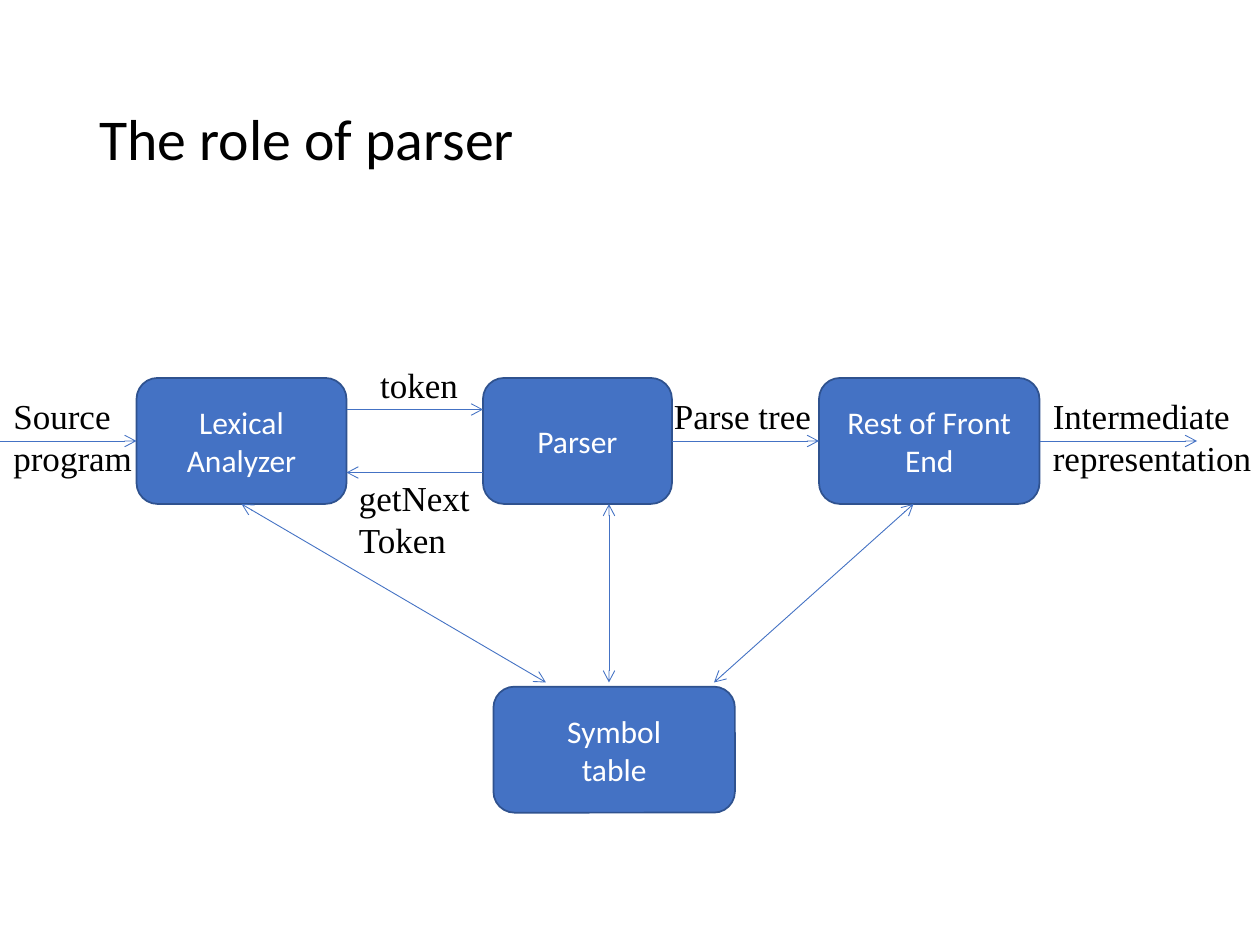
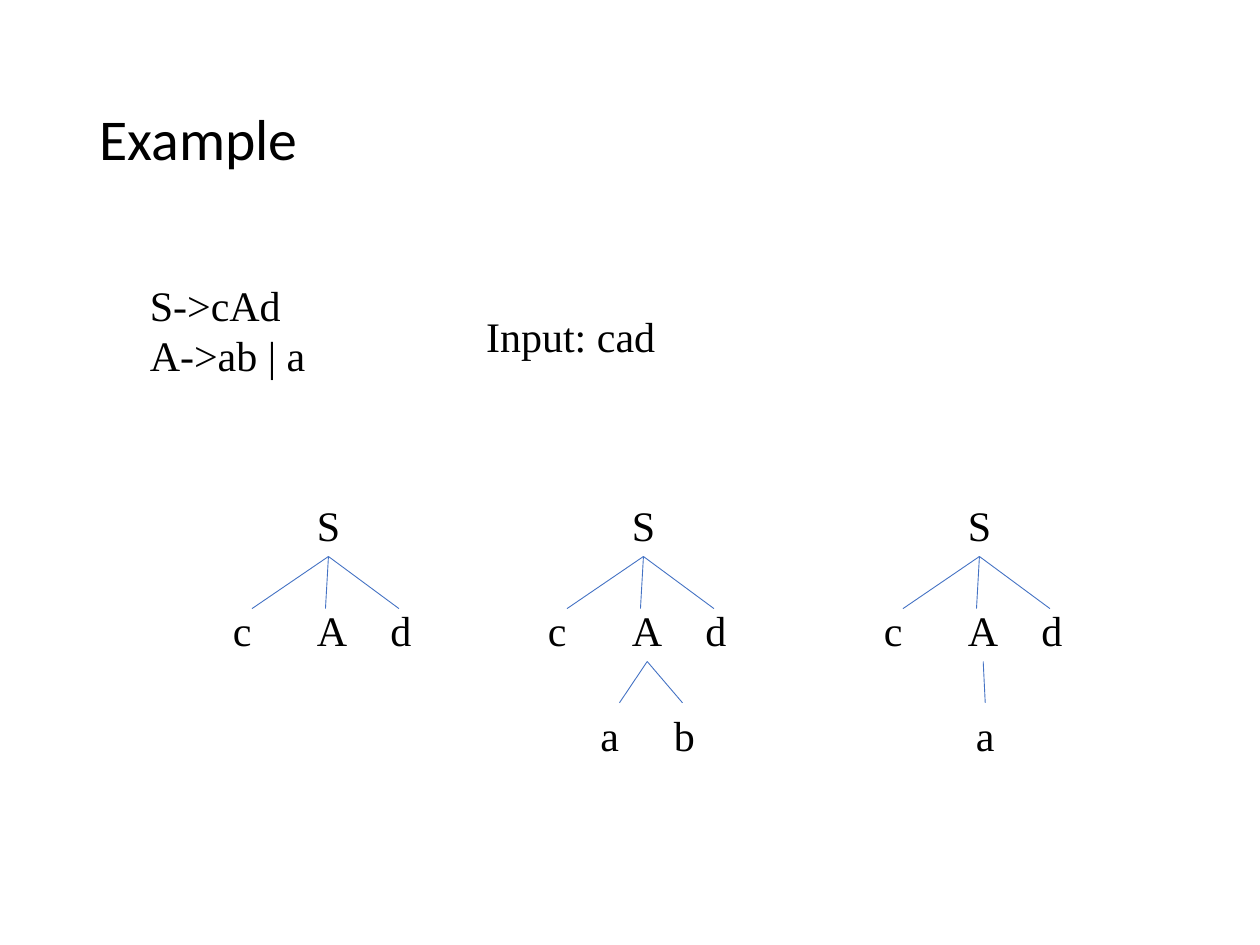
from lxml.etree import SubElement
from pptx import Presentation
from pptx.dml.color import RGBColor
from pptx.enum.shapes import MSO_CONNECTOR as Connector, MSO_SHAPE as Shape
from pptx.enum.text import MSO_ANCHOR as Anchor, MSO_AUTO_SIZE as AutoSize, PP_ALIGN as Align
from pptx.oxml.ns import qn
from pptx.util import Pt

BLACK, WHITE, BLUE, NAVY = "000000", "FFFFFF", "4472C4", "2F528F"
SERIF = "Times New Roman"
TITLE_BOX = (49.7, 28.8, 621.4, 104.4)
TITLE_FRAME = {"vertical_anchor": Anchor.MIDDLE, "auto_size": AutoSize.NONE, "word_wrap": True}
STAGE_FRAME = {"vertical_anchor": Anchor.MIDDLE, "word_wrap": True}
LABEL_FRAME = {"word_wrap": False, "auto_size": AutoSize.SHAPE_TO_FIT_TEXT}
TITLE_FONT = {"name": "Calibri", "size": Pt(33)}
STAGE_FONT = {"name": "Calibri", "size": Pt(18)}
LABEL_FONT = {"name": SERIF, "size": Pt(20)}
GRAMMAR_FONT = {"name": SERIF, "size": Pt(24)}
LEFT_PARAGRAPH = {"alignment": Align.LEFT}
TITLE_PARAGRAPH = {"alignment": Align.LEFT, "line_spacing": 0.9}
STAGE_PARAGRAPH = {"alignment": Align.CENTER}

STAGE_HEIGHT = 72
STAGES = [
    ("Lexical Analyzer", 78, 0, 120),
    ("Parser", 276, 0, 108),
    ("Symbol\ntable", 282, 176.4, 138),
    ("Rest of Front End", 468, 0, 126),
]
FLOWS = [
    ((-12, 36), (78, 36)),
    ((198, 18), (276, 18)),
    ((276, 54), (198, 54)),
    ((384, 36), (468, 36)),
    ((594, 36), (684, 36)),
]
LOOKUPS = [((138, 72), (312, 174)), ((348, 72), (348, 174)), ((522, 72), (408, 174))]
FLOW_LABELS = [
    ("Source\nprogram", 0.5, 6, 85, 55.4),
    ("token", 210.2, -12, 61, 31.7),
    ("getNext\nToken", 198, 52.6, 80, 55.4),
    ("Parse tree", 378, 6, 95, 31.7),
    ("Intermediate\nrepresentation", 594.5, 6, 131, 55.4),
]

LETTER_WIDTHS = {"S": 27.4, "A": 31.7, "a": 25.2, "b": 25.9, "c": 25.2, "d": 25.9}
LETTER_HEIGHT, LEVEL_STEP = 36, 60
ROOT_LEFT = 48
ROOT_CHILDREN = [("c", 0, 18), ("A", ROOT_LEFT, 60), ("d", 90, 102)]
TREES = [
    (126, []),
    (306, [("a", 30, 48), ("b", 72, 84)]),
    (498, [("a", 52.6, 65)]),
]
TREE_TOP = 282


def color(hex_value):
    """Turn a hex string into a colour."""
    return RGBColor.from_string(hex_value)


def apply(target, values):
    """Set every attribute listed in a dict of format values."""
    for attribute, value in values.items():
        setattr(target, attribute, value)


def write(frame, words, frame_format, paragraph_format, font_format, ink=BLACK):
    """Fill a text frame with one formatted paragraph per line."""
    frame.text = words
    apply(frame, frame_format)
    for paragraph in frame.paragraphs:
        apply(paragraph, paragraph_format)
        for run in paragraph.runs:
            apply(run.font, font_format)
            run.font.color.rgb = color(ink)


def add_titled_slide(deck, heading):
    """Add a slide whose title sits in the shared place and style."""
    slide = deck.slides.add_slide(deck.slide_layouts[5])
    title = slide.shapes.title
    apply(title, dict(zip(("left", "top", "width", "height"), map(Pt, TITLE_BOX))))
    write(title.text_frame, heading, TITLE_FRAME, TITLE_PARAGRAPH, TITLE_FONT)
    return slide


def add_label(shapes, words, left, top, width, height, font):
    """Add unwrapped text in black."""
    label = shapes.add_textbox(Pt(left), Pt(top), Pt(width), Pt(height))
    write(label.text_frame, words, LABEL_FRAME, LEFT_PARAGRAPH, font)


def add_line(shapes, origin, start, end, heads=()):
    """Draw a thin blue line between points given relative to an origin."""
    x, y = origin
    line = shapes.add_connector(
        Connector.STRAIGHT, Pt(x + start[0]), Pt(y + start[1]), Pt(x + end[0]), Pt(y + end[1])
    )
    line.line.color.rgb = color(BLUE)
    line.line.width = Pt(0.5)
    properties = line.element.spPr
    for head in heads:
        SubElement(properties.find(qn("a:ln")), qn(f"a:{head}"), type="arrow")
    SubElement(properties, qn("a:effectLst"))


def add_stage(shapes, words, left, top, width):
    """Add one rounded box of the compiler diagram."""
    stage = shapes.add_shape(
        Shape.ROUNDED_RECTANGLE, Pt(left), Pt(top), Pt(width), Pt(STAGE_HEIGHT)
    )
    stage.shadow.inherit = False
    stage.fill.solid()
    stage.fill.fore_color.rgb = color(BLUE)
    stage.line.color.rgb = color(NAVY)
    stage.line.width = Pt(1)
    write(stage.text_frame, words, STAGE_FRAME, STAGE_PARAGRAPH, STAGE_FONT, WHITE)


def add_compiler_diagram(shapes, x, y):
    """Draw the compiler stages, their data flows and the symbol table lookups."""
    for words, left, top, width in STAGES:
        add_stage(shapes, words, x + left, y + top, width)
    for start, end in FLOWS:
        add_line(shapes, (x, y), start, end, ["tailEnd"])
    for start, end in LOOKUPS:
        add_line(shapes, (x, y), start, end, ["headEnd", "tailEnd"])
    for words, left, top, width, height in FLOW_LABELS:
        add_label(shapes, words, x + left, y + top, width, height, LABEL_FONT)


def add_letter(shapes, letter, left, top):
    """Add one grammar symbol of a parse tree."""
    add_label(shapes, letter, left, top, LETTER_WIDTHS[letter], LETTER_HEIGHT, GRAMMAR_FONT)


def add_branches(shapes, x, y, parent, level, children, drop):
    """Join a parent to its children, which stand one level lower."""
    parent_top = level * LEVEL_STEP
    fork = (ROOT_LEFT + LETTER_WIDTHS[parent] / 2, parent_top + LETTER_HEIGHT)
    for letter, left, tip in children:
        add_line(shapes, (x, y), fork, (tip, fork[1] + drop))
        add_letter(shapes, letter, x + left, y + parent_top + LEVEL_STEP)


def add_parse_tree(shapes, x, y, leaves):
    """Draw one grouped parse tree with its top left at x, y."""
    tree = shapes.add_group_shape().shapes
    add_letter(tree, "S", x + ROOT_LEFT, y)
    add_branches(tree, x, y, "S", 0, ROOT_CHILDREN, 29.8)
    add_branches(tree, x, y, "A", 1, leaves, 23.6)


def build_role_slide(deck):
    """Show where the parser stands in a compiler."""
    slide = add_titled_slide(deck, "The role of parser")
    add_compiler_diagram(slide.shapes, 0, 216)


def build_example_slide(deck):
    """Show a grammar, its input and the steps of the parse."""
    shapes = add_titled_slide(deck, "Example").shapes
    add_label(shapes, "S->cAd\nA->ab | a", 78.5, 156.2, 107, 64.8, GRAMMAR_FONT)
    add_label(shapes, "Input: cad", 270.7, 174.2, 113, 36, GRAMMAR_FONT)
    for left, leaves in TREES:
        add_parse_tree(shapes, left, TREE_TOP, leaves)


def main():
    """Build and save the deck."""
    deck = Presentation()
    deck.slide_width, deck.slide_height = Pt(720), Pt(540)
    build_role_slide(deck)
    build_example_slide(deck)
    deck.save("out.pptx")


if __name__ == "__main__":
    main()
